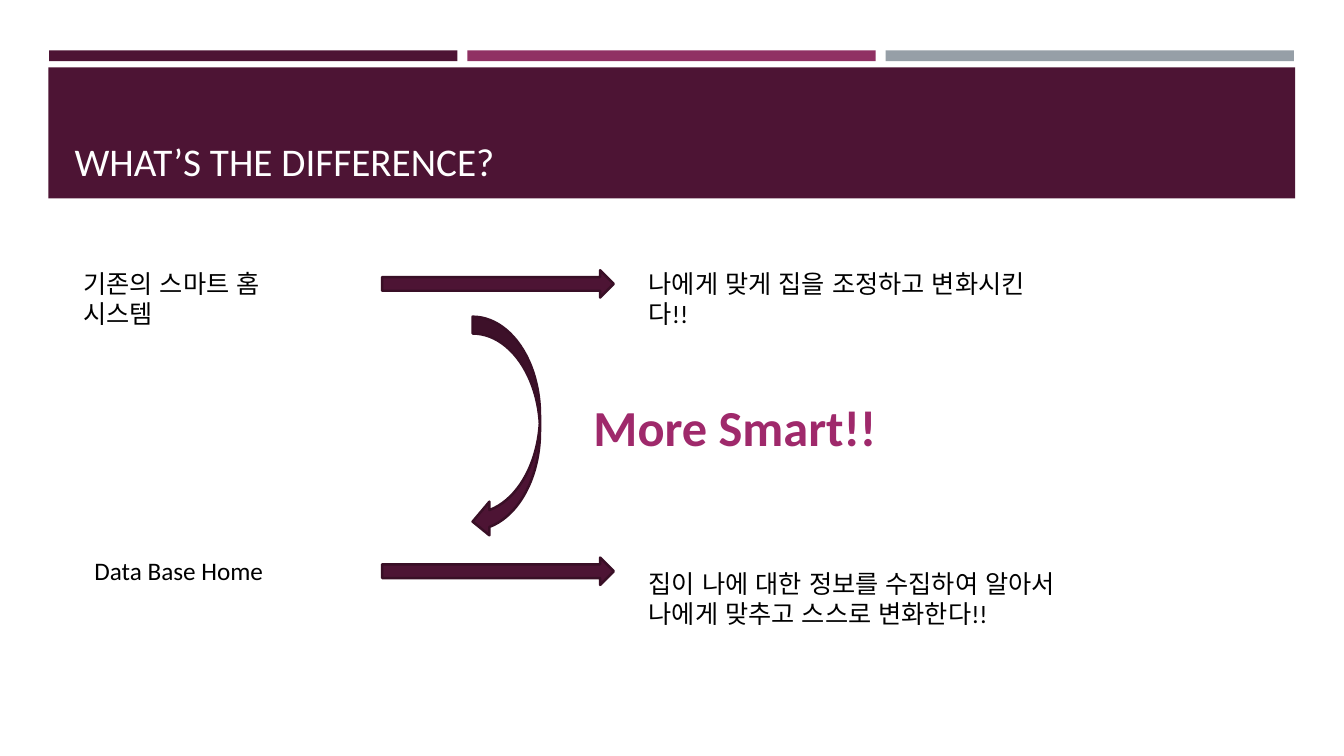
from dataclasses import dataclass, field

import lxml.etree
import pptx
import pptx.dml.color
import pptx.enum.lang
import pptx.enum.shapes
import pptx.enum.text
import pptx.oxml.ns
import pptx.slide
import pptx.text.text
import pptx.util

Cm = pptx.util.Cm
Shape = pptx.enum.shapes.MSO_SHAPE
Anchor = pptx.enum.text.MSO_ANCHOR
Align = pptx.enum.text.PP_ALIGN
Language = pptx.enum.lang.MSO_LANGUAGE_ID

COLOURS = {
    "plum": "4D1434",
    "dark plum": "390F26",
    "magenta": "903163",
    "bright magenta": "9F296B",
    "grey": "969FA7",
    "white": "FFFFFF",
    "black": "000000",
}
OUTLINE_POINTS = 1.75


@dataclass
class Block:
    left: float
    top: float
    width: float
    height: float
    kind: Shape = Shape.RECTANGLE
    fill: str = "plum"
    line: str = ""


@dataclass
class Label:
    text: str
    left: float
    top: float
    width: float
    height: float
    colour: str = "black"
    size: int = 18
    outline: str = ""
    frame: dict = field(default_factory=dict)
    para: dict = field(default_factory=dict)
    font: dict = field(default_factory=dict)


BAR_LEFT, BAR_STEP = 1.24, 10.54
BARS = [
    Block(BAR_LEFT + index * BAR_STEP, 1.27, 10.29, 0.27, fill=fill)
    for index, fill in enumerate(["plum", "magenta", "grey"])
]
BANNER = Block(1.22, 1.7, 31.42, 3.3)
ARROWS = [
    Block(9.63, top, 5.84, 0.69, Shape.RIGHT_ARROW, line="dark plum")
    for top in (6.81, 14.05)
]
TURN = Block(11.91, 7.98, 1.7, 5.59, Shape.CURVED_LEFT_ARROW, line="dark plum")

KOREAN = {"language_id": Language.KOREAN}
LABELS = [
    Label("WHAT’S THE DIFFERENCE?", 1.63, 1.96, 30.63, 2.82, "white", 28,
          frame={"vertical_anchor": Anchor.BOTTOM}),
    Label("기존의 스마트 홈 시스템", 1.85, 6.63, 5.89, 1.02, font=KOREAN),
    Label("나에게 맞게 집을 조정하고 변화시킨다!!", 16.1, 6.63, 10.8, 1.02, font=KOREAN),
    Label("More Smart!!", 12.95, 9.86, 11.15, 1.8, "bright magenta", 36, "magenta",
          para={"alignment": Align.CENTER}, font={"bold": True}),
    Label("Data Base Home", 2.13, 13.87, 6.6, 1.02),
    Label("집이 나에 대한 정보를 수집하여 알아서 나에게 맞추고 스스로 변화한다!!",
          16.1, 14.2, 10.8, 1.8, font=KOREAN),
]


def colour_of(name: str) -> pptx.dml.color.RGBColor:
    return pptx.dml.color.RGBColor.from_string(COLOURS[name])


def apply_format(target: object, values: dict) -> None:
    for name, value in values.items():
        setattr(target, name, value)


def draw_block(page: pptx.slide.Slide, block: Block) -> None:
    shape = page.shapes.add_shape(
        block.kind, Cm(block.left), Cm(block.top), Cm(block.width), Cm(block.height))
    shape.shadow.inherit = False
    shape.fill.solid()
    shape.fill.fore_color.rgb = colour_of(block.fill)
    if block.line:
        shape.line.color.rgb = colour_of(block.line)
        shape.line.width = pptx.util.Pt(OUTLINE_POINTS)
    else:
        shape.line.fill.background()


def outline_text(span: pptx.text.text._Run, colour: str) -> None:
    name = pptx.oxml.ns.qn
    line = lxml.etree.Element(name("a:ln"), w=str(pptx.util.Pt(OUTLINE_POINTS)))
    fill = lxml.etree.SubElement(line, name("a:solidFill"))
    lxml.etree.SubElement(fill, name("a:srgbClr"), val=COLOURS[colour])
    span._r.get_or_add_rPr().insert(0, line)


def draw_label(page: pptx.slide.Slide, label: Label) -> None:
    box = page.shapes.add_textbox(
        Cm(label.left), Cm(label.top), Cm(label.width), Cm(label.height))
    apply_format(box.text_frame, {"word_wrap": True, **label.frame})
    para = box.text_frame.paragraphs[0]
    apply_format(para, label.para)
    span = para.add_run()
    span.text = label.text
    apply_format(span.font, {
        "name": "Calibri", "size": pptx.util.Pt(label.size), **label.font})
    span.font.color.rgb = colour_of(label.colour)
    if label.outline:
        outline_text(span, label.outline)


def main() -> None:
    deck = pptx.Presentation()
    apply_format(deck, {"slide_width": Cm(33.87), "slide_height": Cm(19.05)})
    page = deck.slides.add_slide(deck.slide_layouts[6])
    for block in [*BARS, BANNER, *ARROWS, TURN]:
        draw_block(page, block)
    for label in LABELS:
        draw_label(page, label)
    deck.save("out.pptx")


if __name__ == "__main__":
    main()
